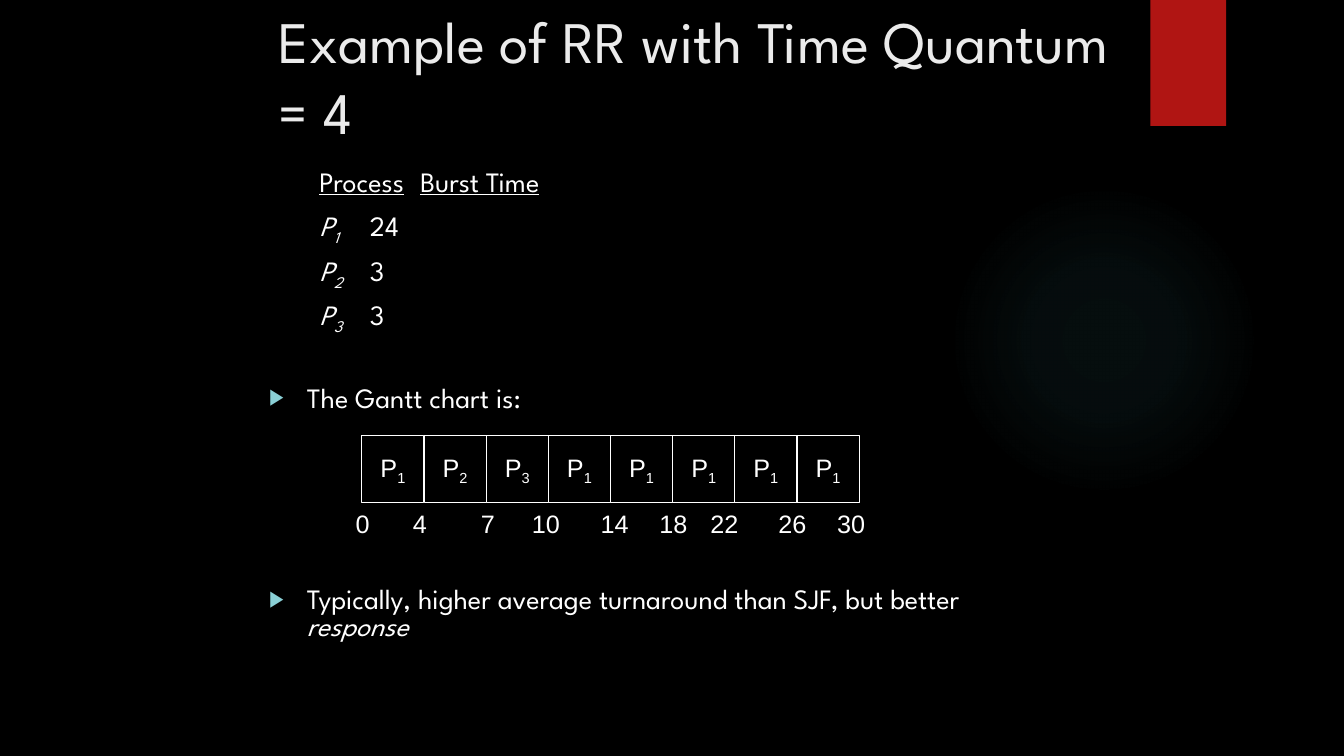
"""Builds the slide on round-robin scheduling with a time quantum of 4."""
from dataclasses import dataclass

from lxml import etree
from pptx import Presentation
from pptx import util as u
from pptx.dml.color import RGBColor
from pptx.enum import shapes, text
from pptx.oxml.ns import qn


@dataclass(frozen=True)
class Theme:
    """Colours, fonts and type sizes."""
    back: str = "000000"
    ink: str = "FFFFFF"
    title: str = "EBEBEB"
    banner: str = "B01513"
    glow: str = "50B9C1"
    bullet: str = "8AD0D6"
    head_font: str = "League Spartan"
    chart_font: str = "Arial"
    title_size: int = 42
    body_size: int = 20
    chart_size: int = 18


def apply(obj, **values):
    """Set each given attribute on an object."""
    for name, value in values.items():
        setattr(obj, name, value)


def add(parent, tag, **attrs):
    """Append a child element with attributes."""
    el = etree.SubElement(parent, qn(tag))
    for name, value in attrs.items():
        el.set(name, str(value))
    return el


class Deck:
    """Holds the theme and the current slide."""

    def __init__(self, prs, theme):
        """Start a slide with a plain background."""
        self.theme = theme
        self.s = prs.slides.add_slide(prs.slide_layouts[1])
        self.solid(self.s.background.fill, theme.back)

    def solid(self, fill, color):
        """Fill with one colour."""
        fill.solid()
        fill.fore_color.rgb = RGBColor.from_string(color)

    def run(self, p, words, font, size, color, sub=False, **fmt):
        """Add a formatted run."""
        r = p.add_run()
        r.text = words
        apply(r.font, name=font, size=u.Pt(size), **fmt)
        r.font.color.rgb = RGBColor.from_string(color)
        if sub:
            r._r.get_or_add_rPr().set("baseline", "-25000")

    def place(self, sp, x, y, w, h):
        """Move and size a shape, in points."""
        apply(sp, left=u.Pt(x), top=u.Pt(y), width=u.Pt(w), height=u.Pt(h))

    def shape(self, kind, x, y, w, h, color, line=None, on=None):
        """Add a filled preset shape."""
        sp = (on or self.s).shapes.add_shape(kind, *map(u.Pt, (x, y, w, h)))
        sp.shadow.inherit = False
        self.solid(sp.fill, color)
        if line:
            self.solid(sp.line.fill, line)
            sp.line.width = u.Pt(0.75)
        else:
            sp.line.fill.background()
        return sp

    def glow(self, x, y, size):
        """Add a faint radial glow."""
        sp = self.shape(shapes.MSO_SHAPE.OVAL, x, y, size, size, self.theme.glow)
        old = sp._element.spPr.find(qn("a:solidFill"))
        grad = etree.Element(qn("a:gradFill"), rotWithShape="1")
        stops = add(grad, "a:gsLst")
        for pos, alpha in ((0, 7), (36, 6), (69, 0)):
            clr = add(add(stops, "a:gs", pos=pos * 1000), "a:srgbClr", val=self.theme.glow)
            add(clr, "a:alpha", val=alpha * 1000)
        mid = dict.fromkeys("ltrb", 50000)
        add(add(grad, "a:path", path="circle"), "a:fillToRect", **mid)
        old.getparent().replace(old, grad)

    def title(self, words, *at):
        """Fill the title placeholder."""
        t, sp = self.theme, self.s.shapes.title
        self.place(sp, *at)
        apply(sp.text_frame, word_wrap=True, auto_size=text.MSO_AUTO_SIZE.NONE,
              vertical_anchor=text.MSO_ANCHOR.TOP)
        p = sp.text_frame.paragraphs[0]
        p.alignment = text.PP_ALIGN.LEFT
        self.run(p, words, t.head_font, t.title_size, t.title)

    def body(self, items, *at):
        """Fill the body placeholder with (space before, tab stops, runs) items."""
        t, sp = self.theme, self.s.placeholders[1]
        self.place(sp, *at)
        tf = sp.text_frame
        apply(tf, word_wrap=True, auto_size=text.MSO_AUTO_SIZE.NONE,
              vertical_anchor=text.MSO_ANCHOR.TOP)
        for i, (before, tabs, runs) in enumerate(items):
            p = tf.add_paragraph() if i else tf.paragraphs[0]
            apply(p, line_spacing=0.8, space_before=u.Pt(before), alignment=text.PP_ALIGN.LEFT)
            pPr = p._p.get_or_add_pPr()
            indent = 0 if tabs else u.Pt(27)
            pPr.set("marL", str(indent))
            pPr.set("indent", str(-indent))
            if tabs:
                add(pPr, "a:buNone")
                stops = add(pPr, "a:tabLst")
                for pos in tabs:
                    add(stops, "a:tab", pos=u.Pt(pos), algn="l")
            else:
                add(add(pPr, "a:buClr"), "a:srgbClr", val=t.bullet)
                add(pPr, "a:buSzPct", val=80000)
                add(pPr, "a:buFont", typeface=t.chart_font)
                add(pPr, "a:buChar", char="▶")
            for words, fmt in runs:
                self.run(p, words, t.head_font, t.body_size, t.ink, **fmt)

    def label(self, sp, words, sub=""):
        """Centre a chart label in a shape."""
        t, tf = self.theme, sp.text_frame
        apply(tf, word_wrap=False, vertical_anchor=text.MSO_ANCHOR.MIDDLE)
        p = tf.paragraphs[0]
        p.alignment = text.PP_ALIGN.CENTER
        self.run(p, words, t.chart_font, t.chart_size, t.ink)
        if sub:
            self.run(p, sub, t.chart_font, t.chart_size, t.ink, sub=True)

    def gantt(self, order, ticks, x, y, w, h):
        """Draw a row of process cells with times below."""
        t, group = self.theme, self.s.shapes.add_group_shape()
        for i, number in enumerate(order):
            sp = self.shape(shapes.MSO_SHAPE.RECTANGLE, x + i * w, y, w, h, t.back, t.ink, group)
            self.label(sp, "P", number)
        for time, center in ticks.items():
            width = 14.4 + 10 * len(time)
            sp = group.shapes.add_textbox(*map(u.Pt, (center - width / 2, y + h + 0.5, width, 28.8)))
            self.label(sp, time)


def process(number, burst, before, *tabs):
    """Return the body item for one process."""
    italic = {"italic": True}
    return before, tabs, [("\tP", italic), (number, {"italic": True, "sub": True}), ("\t" + burst, {})]


def main():
    """Build and save the slide."""
    prs = Presentation()
    apply(prs, slide_width=u.Pt(960), slide_height=u.Pt(540))
    d = Deck(prs, Theme())
    d.glow(677.5, 131.8, 221.8)
    d.shape(shapes.MSO_SHAPE.RECTANGLE, 821.8, 0, 54, 90, d.theme.banner)
    d.title("Example of RR with Time Quantum = 4", 192, 0, 634, 66)
    under = {"underline": True}
    d.body([
        (0, (63, 135), [("\t", {}), ("Process", under), ("\t", {}), ("Burst Time", under)]),
        process("1", "24", 10, 63, 98.5),
        process("2", "3", 10, 68, 104.5),
        process("3", "3", 10, 68, 98.5),
        (39.5, (), [("The Gantt chart is:", {})]),
        (124.5, (), [("Typically, higher average turnaround than SJF, but better ", {}),
                     ("response", {"italic": True})]),
    ], 185, 118.8, 579, 353)
    d.gantt("12311111", {"0": 259, "4": 300, "7": 348.5, "10": 390, "14": 439, "18": 481,
                         "22": 517.5, "26": 566, "30": 608}, 258.5, 311, 44.4, 48)
    prs.save("out.pptx")


if __name__ == "__main__":
    main()
